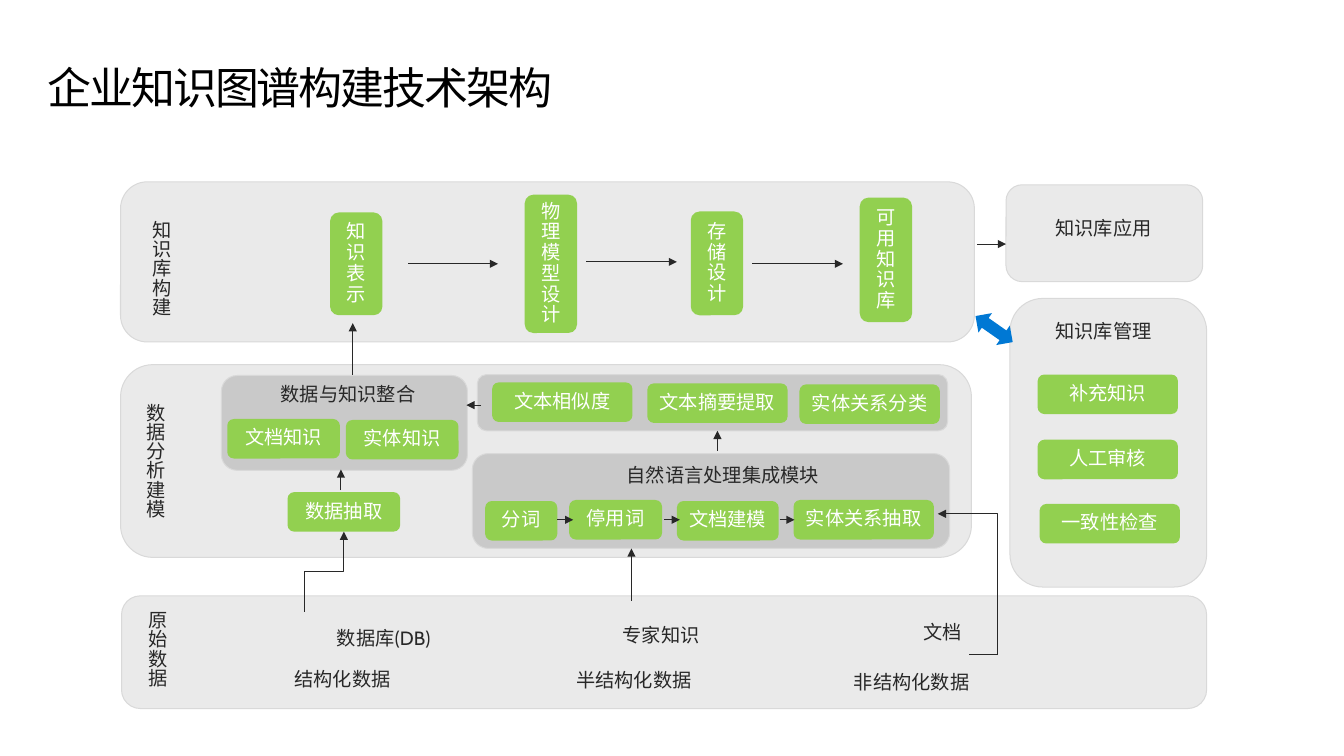
import lxml.etree
import pptx
import pptx.dml.color
import pptx.enum.lang
import pptx.enum.shapes
import pptx.enum.text
import pptx.oxml.ns
import pptx.util

Inches = pptx.util.Inches
RGBColor = pptx.dml.color.RGBColor
SHAPE = pptx.enum.shapes.MSO_SHAPE
CONNECTOR = pptx.enum.shapes.MSO_CONNECTOR
ALIGN = pptx.enum.text.PP_ALIGN
ANCHOR = pptx.enum.text.MSO_ANCHOR
AUTO_SIZE = pptx.enum.text.MSO_AUTO_SIZE
qn = pptx.oxml.ns.qn

BLACK = RGBColor(0x00, 0x00, 0x00)
INK = RGBColor(0x28, 0x28, 0x28)
WHITE = RGBColor(0xFF, 0xFF, 0xFF)
PALE = RGBColor(0xEA, 0xEA, 0xEA)
GREY = RGBColor(0xC9, 0xC9, 0xC9)
EDGE = RGBColor(0xD9, 0xD9, 0xD9)
GREEN = RGBColor(0x92, 0xD0, 0x50)
BLUE = RGBColor(0x00, 0x78, 0xD4)


def write(frame, text, *, size=14, color=INK, align=ALIGN.LEFT, anchor=ANCHOR.TOP,
          insets=(0.2, 0.16, 0.2, 0.16), after=0, auto_size=AUTO_SIZE.NONE):
    """Fill a text frame with one formatted paragraph and return its span."""
    frame.word_wrap = True
    frame.auto_size = auto_size
    frame.vertical_anchor = anchor
    (frame.margin_left, frame.margin_top,
     frame.margin_right, frame.margin_bottom) = map(Inches, insets)
    para = frame.paragraphs[0]
    para.alignment = align
    para.line_spacing = 0.9
    para.space_before = pptx.util.Pt(0)
    para.space_after = pptx.util.Pt(after)
    span = para.add_run()
    span.text = text
    span.font.name = "Cabin"
    span.font.size = pptx.util.Pt(size)
    span.font.color.rgb = color
    span.font.language_id = pptx.enum.lang.MSO_LANGUAGE_ID.SIMPLIFIED_CHINESE
    return span


class Diagram:
    def __init__(self, slide):
        self.slide = slide
        self.shapes = slide.shapes
        self.line_width = pptx.util.Pt(0.75)

    def title(self, text, *place):
        box = self.shapes.title
        box.left, box.top, box.width, box.height = map(Inches, place)
        span = write(box.text_frame, text, size=32, color=BLACK, insets=(0, 0.18, 0, 0))
        span.font._element.set("spc", "-150")

    def shape(self, kind, place, fill):
        shape = self.shapes.add_shape(kind, *map(Inches, place))
        shape.shadow.inherit = False
        shape.fill.solid()
        shape.fill.fore_color.rgb = fill
        shape.line.fill.background()
        return shape

    def panel(self, *place, fill=PALE):
        panel = self.shape(SHAPE.ROUNDED_RECTANGLE, place, fill)
        panel.line.color.rgb = EDGE
        panel.line.width = self.line_width

    def step(self, text, *place):
        step = self.shape(SHAPE.ROUNDED_RECTANGLE, place, GREEN)
        write(step.text_frame, text, color=WHITE, align=ALIGN.CENTER,
              anchor=ANCHOR.MIDDLE, insets=(0.08,) * 4)

    def label(self, text, *place, vertical=False):
        box = self.shapes.add_textbox(*map(Inches, place))
        write(box.text_frame, text, after=6, auto_size=AUTO_SIZE.SHAPE_TO_FIT_TEXT)
        if vertical:
            box.text_frame._txBody.bodyPr.set("vert", "eaVert")

    def line(self, x1, y1, x2, y2, kind=CONNECTOR.STRAIGHT, arrow=True):
        connector = self.shapes.add_connector(kind, *map(Inches, (x1, y1, x2, y2)))
        connector.line.color.rgb = INK
        connector.line.width = self.line_width
        properties = connector._element.spPr
        if arrow:
            lxml.etree.SubElement(properties.find(qn("a:ln")), qn("a:tailEnd"), type="triangle")
        lxml.etree.SubElement(properties, qn("a:effectLst"))
        return properties

    def bend(self, x1, y1, x2, y2, turn=0.5):
        """Elbow arrow that leaves upwards: laid out sideways, then turned by 270 degrees."""
        mid_x, mid_y = (x1 + x2) / 2, (y1 + y2) / 2
        half_run, half_rise = (x2 - x1) / 2, (y1 - y2) / 2
        properties = self.line(mid_x - half_rise, mid_y - half_run,
                               mid_x + half_rise, mid_y + half_run, CONNECTOR.ELBOW)
        properties.find(qn("a:xfrm")).set("rot", str(270 * 60000))
        geometry = properties.find(qn("a:prstGeom"))
        guides = geometry.find(qn("a:avLst"))
        if guides is None:
            guides = lxml.etree.SubElement(geometry, qn("a:avLst"))
        lxml.etree.SubElement(guides, qn("a:gd"), name="adj1", fmla=f"val {round(turn * 100000)}")


def draw_raw_data(diagram):
    diagram.panel(1.23, 6.03, 10.98, 1.14)
    diagram.label("原始数据", 1.26, 6.02, 0.62, 1.14, vertical=True)
    for text, *place in (
        ("结构化数据", 2.78, 6.67, 1.61, 0.31),
        ("数据库(DB)", 3.21, 6.26, 1.61, 0.31),
        ("半结构化数据", 5.63, 6.68, 1.64, 0.3),
        ("专家知识", 6.1, 6.23, 1.38, 0.3),
        ("文档", 9.14, 6.2, 1.15, 0.45),
        ("非结构化数据", 8.44, 6.7, 1.6, 0.45),
    ):
        diagram.label(text, *place)


def draw_analysis(diagram):
    diagram.panel(1.22, 3.69, 8.61, 1.95)
    diagram.label("数据分析建模", 1.24, 3.92, 0.62, 1.51, vertical=True)
    for place in ((2.24, 3.8, 2.49, 0.96), (4.78, 4.59, 4.83, 0.96), (4.83, 3.79, 4.76, 0.57)):
        diagram.panel(*place, fill=GREY)
    for text, left, top, width in (
        # Integration of data and knowledge
        ("数据抽取", 2.91, 4.98, 1.14),
        ("文档知识", 2.3, 4.24, 1.14),
        ("实体知识", 3.5, 4.25, 1.14),
        # Language processing
        ("分词", 4.91, 5.07, 0.73),
        ("停用词", 5.76, 5.06, 0.94),
        ("文档建模", 6.85, 5.07, 1.03),
        ("实体关系抽取", 8.03, 5.06, 1.42),
        # Text results
        ("文本相似度", 4.98, 3.87, 1.42),
        ("文本摘要提取", 6.55, 3.88, 1.42),
        ("实体关系分类", 8.09, 3.89, 1.42),
    ):
        diagram.step(text, left, top, width, 0.4)
    diagram.label("数据与知识整合", 2.64, 3.79, 1.86, 0.54)
    diagram.label("自然语言处理集成模块", 6.14, 4.61, 2.39, 0.54)


def draw_construction(diagram):
    diagram.panel(1.22, 1.84, 8.64, 1.62)
    diagram.label("知识库构建", 1.3, 2.07, 0.62, 1.51, vertical=True)
    for text, left, top, height in (
        ("知识表示", 3.34, 2.15, 1.04),
        ("物理模型设计", 5.31, 1.97, 1.4),
        ("存储设计", 6.99, 2.14, 1.05),
        ("可用知识库", 8.7, 2, 1.26),
    ):
        diagram.step(text, left, top, 0.53, height)


def draw_management(diagram):
    diagram.panel(10.22, 3.02, 1.99, 2.92)
    diagram.panel(10.18, 1.87, 1.99, 0.98)
    diagram.shape(SHAPE.UP_DOWN_ARROW, (9.94, 3.1, 0.24, 0.46), BLUE).rotation = 305
    for text, top in (("知识库管理", 3.15), ("知识库应用", 2.11)):
        diagram.label(text, 10.48, top, 1.86, 0.54)
    for text, left, top in (("补充知识", 10.5, 3.79), ("人工审核", 10.5, 4.45),
                            ("一致性检查", 10.52, 5.1)):
        diagram.step(text, left, top, 1.42, 0.4)


def draw_flow(diagram):
    # Rightward arrows: start, end, height
    for start, end, y in (
        (5.64, 5.8, 5.26), (6.72, 6.88, 5.26), (7.89, 8.04, 5.26),
        (4.13, 5.04, 2.67), (5.93, 6.85, 2.65), (7.61, 8.53, 2.67), (9.89, 10.18, 2.47),
    ):
        diagram.line(start, y, end, y)
    # Upward arrows: position, start, end
    for x, start, end in ((3.45, 4.96, 4.75), (6.39, 6.08, 5.55),
                          (7.26, 4.56, 4.36), (3.57, 3.79, 3.27)):
        diagram.line(x, start, x, end)
    # Leftward arrow, elbows and the stub beside the documents
    diagram.line(4.87, 4.1, 4.72, 4.1)
    diagram.bend(3.08, 6.19, 3.48, 5.38)
    diagram.bend(10.09, 6.63, 9.49, 5.2, turn=1)
    diagram.line(9.81, 6.62, 10.1, 6.62, arrow=False)


def main():
    deck = pptx.Presentation()
    deck.slide_width, deck.slide_height = Inches(13.6), Inches(7.65)
    diagram = Diagram(deck.slides.add_slide(deck.slide_layouts[5]))
    diagram.title("企业知识图谱构建技术架构", 0.48, 0.49, 12.65, 0.83)
    draw_raw_data(diagram)
    draw_analysis(diagram)
    draw_construction(diagram)
    draw_management(diagram)
    draw_flow(diagram)
    deck.save("out.pptx")


if __name__ == "__main__":
    main()
